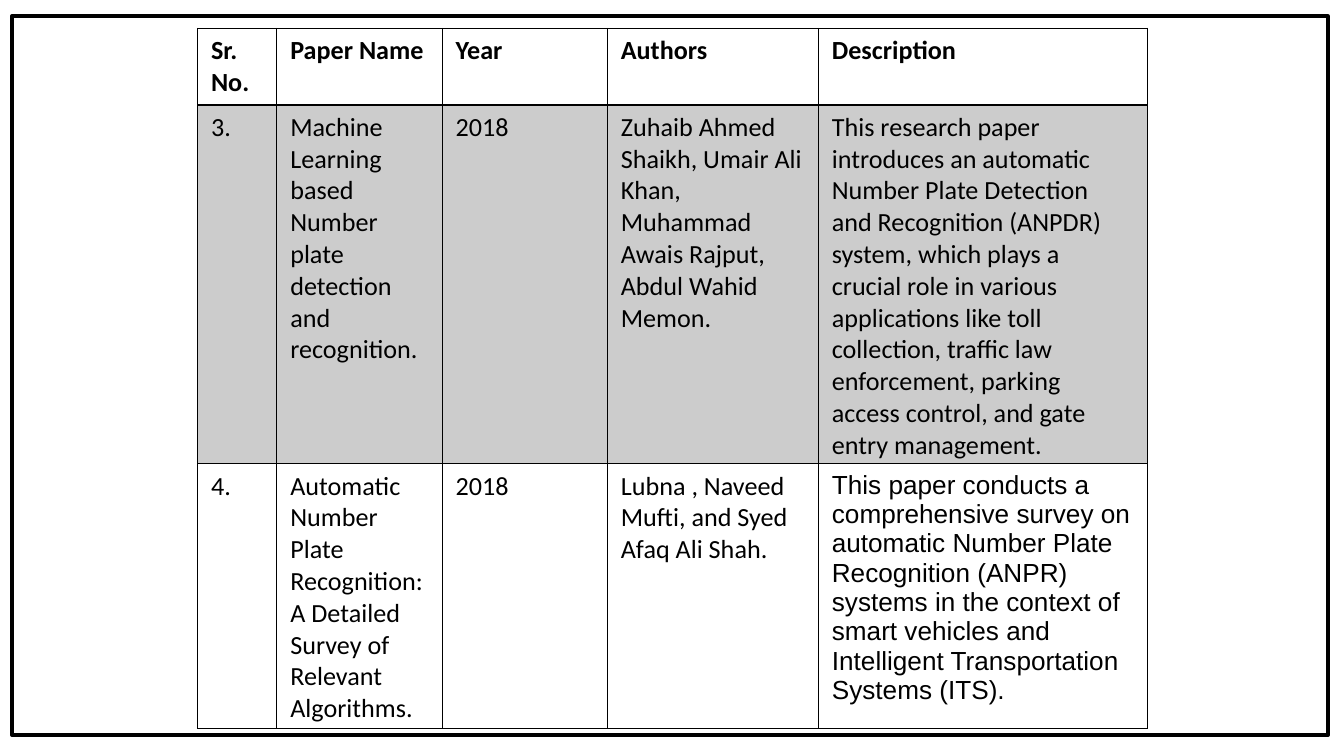
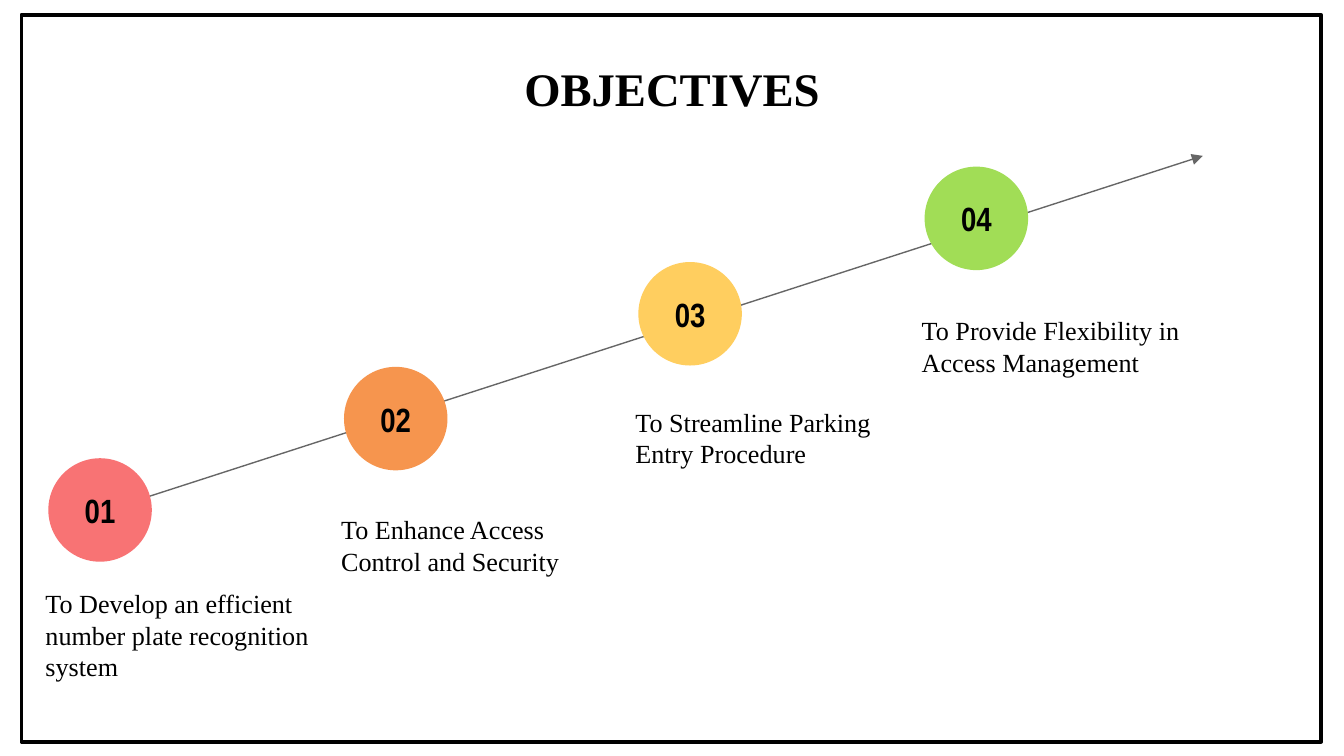
"""Build a paper survey table and a staircase of project objectives."""
from dataclasses import dataclass
from typing import NamedTuple

from lxml import etree
from pptx import Presentation
from pptx import util as u
from pptx.dml.color import RGBColor
from pptx.enum import shapes, text
from pptx.oxml.ns import qn


@dataclass(frozen=True)
class Theme:
    """Colours, fonts and point sizes shared by the slides."""
    ink: str = "000000"
    axis: str = "666666"
    serif: str = "Times New Roman"
    sans: str = "Arial"
    slim: str = "Arial Narrow"
    grid: str = "Calibri"
    head: int = 25
    badge: int = 18
    body: int = 14
    lead: float = 16.9
    frame: float = 2
    arrow: float = 0.75
    thin: float = 0.45
    rule: float = 0.96
    shade: int = 20


class Box(NamedTuple):
    """A place on the slide in grid columns and rows."""
    left: float
    top: float
    wide: float
    high: float


class Step(NamedTuple):
    """One objective: its circle and its caption."""
    left: float
    top: float
    color: str
    words: str
    drop: float


T = Theme()
COLS, ROWS = 100, 56.25
CELL = u.Inches(0.1)
DISC = 7.7
NOTE = Box(-1.2, 0, 22.6, 8.7)

STEPS = [
    Step(3.6, 34.1, "F87374", "To Develop an efficient number plate recognition system", 8.6),
    Step(25.6, 27.3, "F6954E", "To Enhance Access Control and Security", 9.9),
    Step(47.5, 19.5, "FFCE5F", "To Streamline Parking Entry Procedure", 9.7),
    Step(68.8, 12.4, "A1DD56", "To Provide Flexibility in Access Management", 10),
]

WIDTHS = [5.9, 12.3, 12.3, 15.7, 24.5]
HEIGHTS = [5.7, 26.7, 19.7]
PAPERS = [
    ["Sr. No.", "Paper Name", "Year", "Authors", "Description"],
    ["3.", "Machine Learning based Number plate detection and recognition.", "2018",
     "Zuhaib Ahmed Shaikh, Umair Ali Khan, Muhammad Awais Rajput, Abdul Wahid Memon.",
     "This research paper introduces an automatic Number Plate Detection and Recognition "
     "(ANPDR) system, which plays a crucial role in various applications like toll "
     "collection, traffic law enforcement, parking access control, and gate entry "
     "management."],
    ["4.", "Automatic Number Plate Recognition:A Detailed Survey of\nRelevant Algorithms.",
     "2018", "Lubna , Naveed Mufti, and Syed Afaq Ali Shah.",
     "This paper conducts a comprehensive survey on automatic Number Plate Recognition "
     "(ANPR) systems in the context of smart vehicles and Intelligent Transportation "
     "Systems (ITS)."],
]


def span(cells: float) -> int:
    """Turn grid cells into a length."""
    return u.Emu(round(cells * CELL))


def place(box: Box) -> list[int]:
    """Turn a box into left, top, width and height."""
    return [span(side) for side in box]


def hue(code: str) -> RGBColor:
    """Turn a hex code into a colour."""
    return RGBColor.from_string(code)


def style(frame, face: str, size: float, bold: bool = False, align=text.PP_ALIGN.LEFT) -> None:
    """Format every run of a text frame."""
    for para in frame.paragraphs:
        para.alignment = align
        for run in para.runs:
            run.font.name, run.font.size, run.font.bold = face, u.Pt(size), bold
            run.font.color.rgb = hue(T.ink)


def inset(frame, anchor) -> None:
    """Wrap a text frame with even margins and a vertical anchor."""
    frame.word_wrap = True
    frame.auto_size = text.MSO_AUTO_SIZE.NONE
    frame.vertical_anchor = anchor
    frame.margin_left = frame.margin_right = CELL
    frame.margin_top = frame.margin_bottom = CELL


def border(slide, box: Box) -> None:
    """Draw the black frame round a slide."""
    rect = slide.shapes.add_shape(shapes.MSO_SHAPE.RECTANGLE, *place(box))
    rect.shadow.inherit = False
    rect.fill.background()
    rect.line.color.rgb = hue(T.ink)
    rect.line.width = u.Pt(T.frame)


def edge(cell, tag: str, width: float, spot: int) -> None:
    """Add one border line to a table cell."""
    line = etree.Element(qn(f"a:{tag}"), w=str(u.Pt(width)))
    fill = etree.SubElement(line, qn("a:solidFill"))
    etree.SubElement(fill, qn("a:srgbClr"), val=T.ink)
    cell._tc.get_or_add_tcPr().insert(spot, line)


def tint(cell, shaded: bool) -> None:
    """Fill a cell with see-through ink or leave it clear."""
    if not shaded:
        cell.fill.background()
        return
    cell.fill.solid()
    cell.fill.fore_color.rgb = hue(T.ink)
    color = cell._tc.tcPr.find(".//" + qn("a:srgbClr"))
    etree.SubElement(color, qn("a:alpha"), val=str(T.shade * 1000))


def fill(cell, words: str, row: int, face: str) -> None:
    """Write and format one table cell."""
    cell.text_frame.text = words
    cell.margin_left = cell.margin_right = CELL
    cell.margin_top, cell.margin_bottom = span(0.5), 0
    style(cell.text_frame, face, T.body, row == 0)
    tint(cell, row == 1)
    sides = {"lnL": T.thin, "lnR": T.thin,
             "lnT": T.rule if row == 1 else T.thin,
             "lnB": T.rule if row == 0 else T.thin}
    for spot, (tag, width) in enumerate(sides.items()):
        edge(cell, tag, width, spot)


def survey(deck) -> None:
    """Build the slide with the table of papers."""
    slide = deck.slides.add_slide(deck.slide_layouts[6])
    box = Box(14.7, 2.1, sum(WIDTHS), sum(HEIGHTS))
    table = slide.shapes.add_table(len(HEIGHTS), len(WIDTHS), *place(box)).table
    table.first_row = table.horz_banding = False
    for col, wide in zip(table.columns, WIDTHS):
        col.width = span(wide)
    for row, high in enumerate(HEIGHTS):
        table.rows[row].height = span(high)
        for col, words in enumerate(PAPERS[row]):
            face = T.sans if (row, col) == (2, 4) else T.grid
            fill(table.cell(row, col), words, row, face)
    border(slide, Box(0.9, 1.2, 97.9, 53.5))


def arrow(slide) -> None:
    """Draw the rising line behind the circles."""
    ends = [span(end) for end in (4.4, 39.1, 89.5, 11.6)]
    line = slide.shapes.add_connector(shapes.MSO_CONNECTOR.STRAIGHT, *ends)
    line.line.color.rgb = hue(T.axis)
    line.line.width = u.Pt(T.arrow)
    etree.SubElement(line.line._get_or_add_ln(), qn("a:tailEnd"), type="triangle")
    etree.SubElement(line._element.spPr, qn("a:effectLst"))


def climb(slide, step: Step, count: int) -> None:
    """Draw one numbered circle with its caption as a group."""
    group = slide.shapes.add_group_shape().shapes
    box = NOTE._replace(left=step.left + NOTE.left, top=step.top + step.drop)
    note = group.add_textbox(*place(box)).text_frame
    inset(note, text.MSO_ANCHOR.TOP)
    note.text = step.words
    style(note, T.serif, T.body)
    note.paragraphs[0].line_spacing = u.Pt(T.lead)

    disc = group.add_shape(shapes.MSO_SHAPE.OVAL, *place(Box(step.left, step.top, DISC, DISC)))
    disc.shadow.inherit = False
    disc.fill.solid()
    disc.fill.fore_color.rgb = hue(step.color)
    disc.line.fill.background()
    inset(disc.text_frame, text.MSO_ANCHOR.MIDDLE)
    disc.text_frame.text = f"{count:02}"
    style(disc.text_frame, T.slim, T.badge, True, text.PP_ALIGN.CENTER)


def goals(deck) -> None:
    """Build the slide with the four objectives."""
    slide = deck.slides.add_slide(deck.slide_layouts[5])
    title = slide.shapes.title
    title.left, title.top, title.width, title.height = place(Box(5, 4.5, 90, 4.1))
    inset(title.text_frame, text.MSO_ANCHOR.MIDDLE)
    title.text_frame.text = "OBJECTIVES"
    style(title.text_frame, T.serif, T.head, True, text.PP_ALIGN.CENTER)
    arrow(slide)
    for count, step in enumerate(STEPS, 1):
        climb(slide, step, count)
    border(slide, Box(1.6, 1.1, 96.7, 54.1))


def main() -> None:
    """Build and save the deck."""
    deck = Presentation()
    deck.slide_width, deck.slide_height = span(COLS), span(ROWS)
    survey(deck)
    goals(deck)
    deck.save("out.pptx")


if __name__ == "__main__":
    main()
